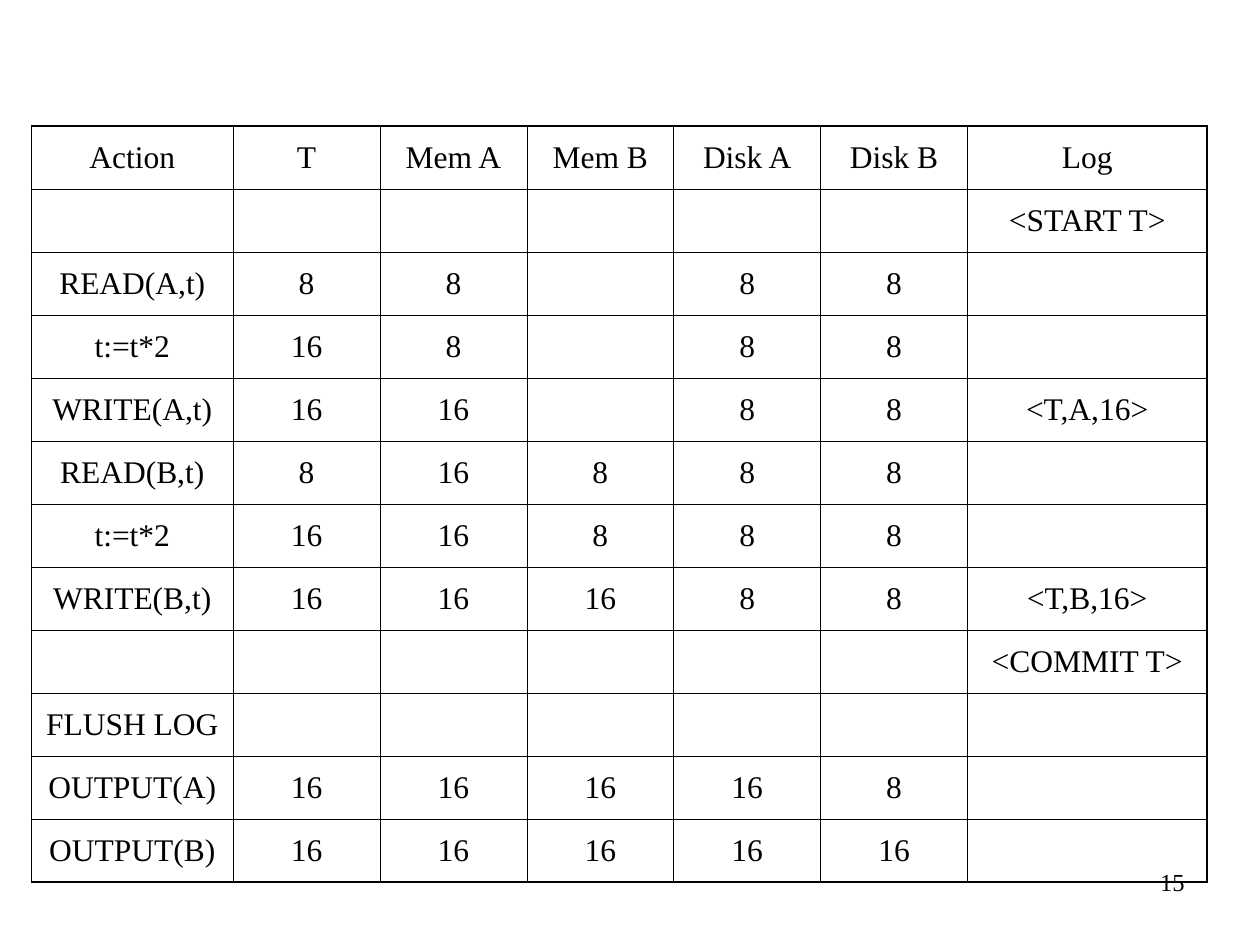
from pptx import Presentation
from pptx.dml.color import RGBColor
from pptx.enum.text import MSO_ANCHOR, PP_ALIGN
from pptx.oxml.ns import qn
from pptx.util import Inches, Pt
from lxml.etree import SubElement

COLORS = {"background": "FFFFFF", "text": "000000", "border": "000000"}
FONT = "Times New Roman"
INNER_LINE, OUTER_LINE = 0.45, 1.08

# Table geometry in inches: the five value columns share what is left
TABLE_LEFT, TABLE_TOP, TABLE_WIDTH = 0.25, 1, 9.33
ACTION_WIDTH, LOG_WIDTH, ROW_HEIGHT = 1.6, 1.9, 0.5
VALUE_WIDTH = (TABLE_WIDTH - ACTION_WIDTH - LOG_WIDTH) / 5
COLUMN_WIDTHS = [ACTION_WIDTH] + [VALUE_WIDTH] * 5 + [LOG_WIDTH]

LOG_ROWS = [
    ["Action", "T", "Mem A", "Mem B", "Disk A", "Disk B", "Log"],
    ["", "", "", "", "", "", "<START T>"],
    ["READ(A,t)", "8", "8", "", "8", "8", ""],
    ["t:=t*2", "16", "8", "", "8", "8", ""],
    ["WRITE(A,t)", "16", "16", "", "8", "8", "<T,A,16>"],
    ["READ(B,t)", "8", "16", "8", "8", "8", ""],
    ["t:=t*2", "16", "16", "8", "8", "8", ""],
    ["WRITE(B,t)", "16", "16", "16", "8", "8", "<T,B,16>"],
    ["", "", "", "", "", "", "<COMMIT T>"],
    ["FLUSH LOG", "", "", "", "", "", ""],
    ["OUTPUT(A)", "16", "16", "16", "16", "8", ""],
    ["OUTPUT(B)", "16", "16", "16", "16", "16", ""],
]


def write_text(text_frame, text, size=18, align=PP_ALIGN.CENTER, space_before=0):
    paragraph = text_frame.paragraphs[0]
    paragraph.alignment = align
    paragraph.space_before = Pt(space_before)
    run = paragraph.add_run()
    run.text = text
    run.font.name = FONT
    run.font.size = Pt(size)
    run.font.color.rgb = RGBColor.from_string(COLORS["text"])


def set_border(cell, side, width):
    line = SubElement(cell._tc.get_or_add_tcPr(), qn(f"a:ln{side}"), w=str(Pt(width)))
    fill = SubElement(line, qn("a:solidFill"))
    SubElement(fill, qn("a:srgbClr"), val=COLORS["border"])


def add_page_number(slide, number):
    box = slide.shapes.add_textbox(Inches(7.42), Inches(6.83), Inches(2.08), Inches(0.5))
    box.text_frame.word_wrap = True
    write_text(box.text_frame, number, size=14, align=PP_ALIGN.RIGHT)


def add_log_table(slide, rows):
    last_row, last_column = len(rows) - 1, len(COLUMN_WIDTHS) - 1
    table = slide.shapes.add_table(
        len(rows), len(COLUMN_WIDTHS), Inches(TABLE_LEFT), Inches(TABLE_TOP),
        Inches(TABLE_WIDTH), Inches(ROW_HEIGHT * len(rows))).table
    table.first_row = table.horz_banding = False
    for column, width in zip(table.columns, COLUMN_WIDTHS):
        column.width = Inches(width)

    for row_index, row in enumerate(rows):
        table.rows[row_index].height = Inches(ROW_HEIGHT)
        for column_index, text in enumerate(row):
            cell = table.cell(row_index, column_index)
            cell.vertical_anchor = MSO_ANCHOR.MIDDLE
            if text:
                write_text(cell.text_frame, text, space_before=4.5)
            # The outer frame is thicker than the inner grid
            outer_sides = {
                "L": column_index == 0, "R": column_index == last_column,
                "T": row_index == 0, "B": row_index == last_row,
            }
            for side, is_outer in outer_sides.items():
                set_border(cell, side, OUTER_LINE if is_outer else INNER_LINE)
            cell.fill.background()


def main():
    presentation = Presentation()
    presentation.slide_width, presentation.slide_height = Inches(10), Inches(7.5)
    slide = presentation.slides.add_slide(presentation.slide_layouts[6])
    slide.background.fill.solid()
    slide.background.fill.fore_color.rgb = RGBColor.from_string(COLORS["background"])

    add_page_number(slide, "15")
    add_log_table(slide, LOG_ROWS)
    presentation.save("out.pptx")


if __name__ == "__main__":
    main()
